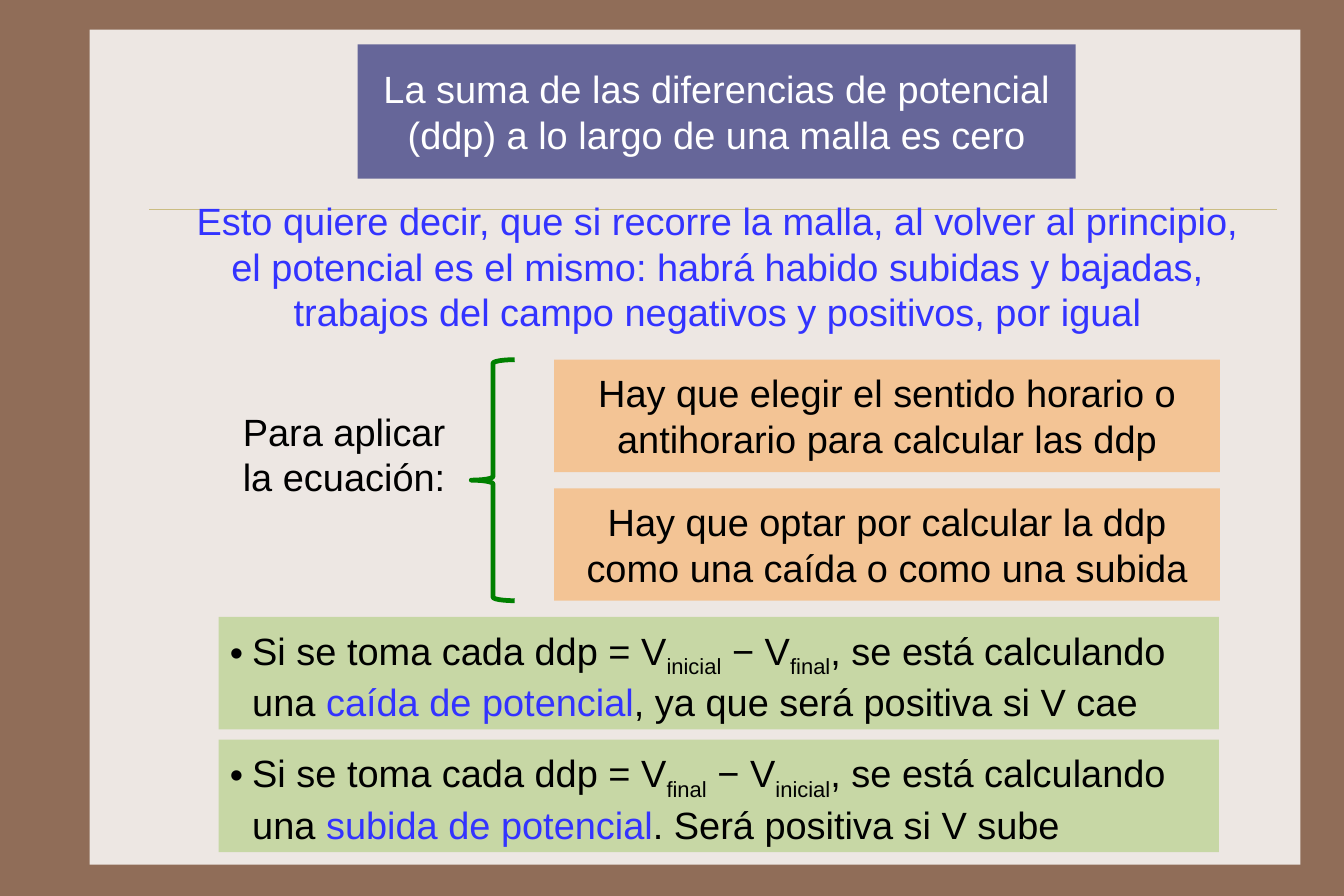
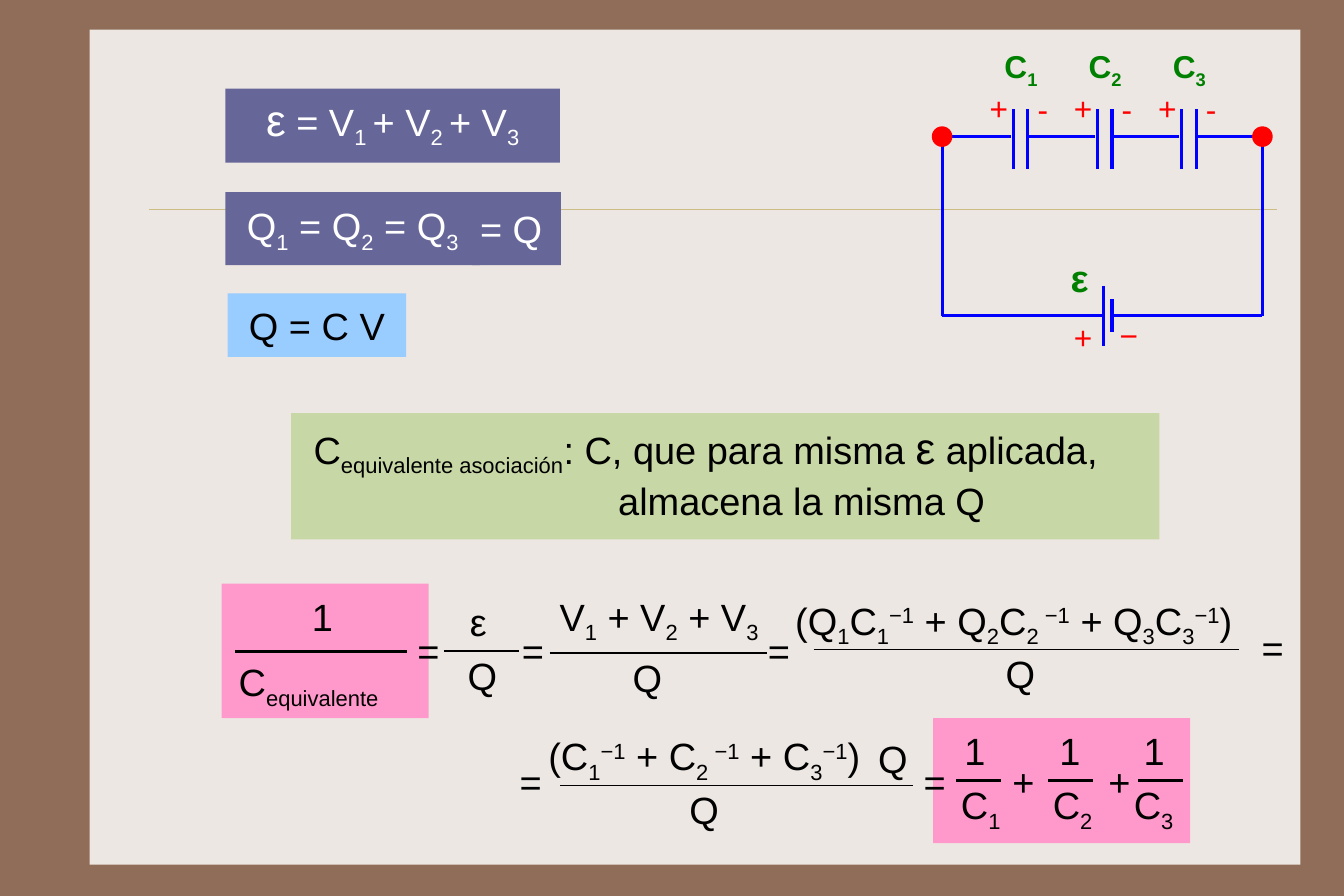
from lxml import etree
from pptx import Presentation
from pptx.dml.color import RGBColor
from pptx.enum import shapes as kinds, text as txt
from pptx.oxml import ns
from pptx.util import Cm, Pt

COLORS = {
    "border": "906D58", "paper": "EDE7E3", "rule": "CBBD83",
    "law": "666699", "step": "F3C495", "note": "C7D7A5",
    "formula": "99CCFF", "result": "FF99CC", "white": "FFFFFF",
    "black": "000000", "accent": "3333FF", "brace": "008000",
    "wire": "0000FF", "red": "FF0000", "green": "008000",
}
FONT = "Arial"
INSETS = (0.25, 0.23, 0.25, 0.23)
SUB, SUPER = "-25000", "30000"
LEFT, CENTER = txt.PP_ALIGN.LEFT, txt.PP_ALIGN.CENTER
TOP, MIDDLE = txt.MSO_ANCHOR.TOP, txt.MSO_ANCHOR.MIDDLE


def rgb(name):
    return RGBColor.from_string(COLORS[name])


def apply(target, values):
    for attribute, value in values.items():
        setattr(target, attribute, value)


def write(paragraph, marked, size=24, color="black", bold=False):
    """Split at "|"; a piece opens with _ (sub), ^ (super), * (accent) or @ (large)."""
    for piece in marked.split("|"):
        mark = piece[0] if piece[0] in "_^*@" else ""
        run = paragraph.add_run()
        run.text = piece[len(mark):]
        apply(run.font, {"name": FONT, "bold": bold,
                         "size": Pt(28 if mark == "@" else size)})
        run.font.color.rgb = rgb("accent" if mark == "*" else color)
        if mark in ("_", "^"):
            run.font._element.set("baseline", SUB if mark == "_" else SUPER)


def fill_text(shape, paragraphs, align=CENTER, anchor=TOP, insets=INSETS,
              wrap=True, **font):
    frame = shape.text_frame
    sides = ("margin_left", "margin_top", "margin_right", "margin_bottom")
    apply(frame, {"auto_size": txt.MSO_AUTO_SIZE.NONE, "word_wrap": wrap,
                  "vertical_anchor": anchor})
    apply(frame, dict(zip(sides, map(Cm, insets))))
    for index, marked in enumerate(paragraphs):
        paragraph = frame.add_paragraph() if index else frame.paragraphs[0]
        apply(paragraph, {"alignment": align, "space_before": Pt(0)})
        write(paragraph, marked, **font)


def place(shape, area):
    apply(shape, dict(zip(("left", "top", "width", "height"), map(Cm, area))))


def paint(shape, fill):
    shape.fill.solid()
    shape.fill.fore_color.rgb = rgb(fill)
    shape.line.fill.background()


def panel(slide, area, fill, *paragraphs, kind=kinds.MSO_SHAPE.RECTANGLE, **options):
    shape = slide.shapes.add_shape(kind, *map(Cm, area))
    shape.shadow.inherit = False
    paint(shape, fill)
    if paragraphs:
        fill_text(shape, paragraphs, **options)
    return shape


def label(slide, x, y, marked, width=1, height=1.3, **options):
    box = slide.shapes.add_textbox(*map(Cm, (x, y, width, height)))
    fill_text(box, [marked], **{"align": LEFT, "wrap": False, **options})


def line(slide, x1, y1, x2, y2, color="black", weight=1):
    connector = slide.shapes.add_connector(
        kinds.MSO_CONNECTOR.STRAIGHT, *map(Cm, (x1, y1, x2, y2)))
    connector.line.color.rgb = rgb(color)
    connector.line.width = Pt(weight)
    etree.SubElement(connector.element.spPr, ns.qn("a:effectLst"))
    return connector


def fraction(slide, bar, top, bottom, rise=1.4, drop=0.2, weight=1):
    """bar is (left, right, y); top and bottom are (x, text, width)."""
    left, right, y = bar
    line(slide, left, y, right, y, weight=weight)
    for (x, marked, width), shift in ((top, rise), (bottom, drop)):
        label(slide, x, y - shift, marked, width)


def build_master(prs, slide):
    """Draw the shared frame on a slide, then move it to the master."""
    master = prs.slide_master
    master.background.fill.solid()
    master.background.fill.fore_color.rgb = rgb("border")
    frame = (panel(slide, (2, 0.66, 27.03, 18.64), "paper"),
             line(slide, 3.33, 4.67, 28.5, 4.67, "rule", 0.25))
    for index, part in enumerate(frame):
        part.element.xpath(".//p:cNvPr")[0].set("id", str(100 + index))
        master.shapes.element.insert(2 + index, part.element)


def bullet_panel(placeholder, area, marked):
    place(placeholder, area)
    paint(placeholder, "note")
    properties = placeholder.text_frame.paragraphs[0]._p.get_or_add_pPr()
    for name, value in (("marL", Cm(0.5)), ("indent", -Cm(0.5))):
        properties.set(name, str(value))
    etree.SubElement(properties, ns.qn("a:buFont")).set("typeface", FONT)
    etree.SubElement(properties, ns.qn("a:buChar")).set("char", "•")
    fill_text(placeholder, [marked], align=LEFT)


def build_loop_rule(slide):
    title, drop, gain = slide.placeholders
    place(title, (7.98, 0.99, 16.03, 3))
    paint(title, "law")
    fill_text(title, ["La suma de las diferencias de potencial (ddp) "
                      "a lo largo de una malla es cero"],
              anchor=MIDDLE, insets=(0.36, 0.33, 0.36, 0.33), color="white")
    bullets = (
        (drop, "Si se toma cada ddp = V|_inicial| − V|_final|, se está calculando una "
               "|*caída de potencial|, ya que será positiva si V cae"),
        (gain, "Si se toma cada ddp = V|_final| − V|_inicial|, se está calculando una "
               "|*subida de potencial|. Será positiva si V sube"))
    for index, (placeholder, marked) in enumerate(bullets):
        bullet_panel(placeholder, (4.88, 13.77 + 2.74 * index, 22.33, 2.51), marked)

    label(slide, 3.91, 4.19,
          "Esto quiere decir, que si recorre la malla, al volver al principio, "
          "el potencial es el mismo: habrá habido subidas y bajadas, "
          "trabajos del campo negativos y positivos, por igual",
          24.21, 3.53, align=CENTER, wrap=True, color="accent")
    label(slide, 5.08, 8.89, "Para aplicar la ecuación:", 5.2, 2.51,
          align=CENTER, wrap=True)
    steps = ("Hay que elegir el sentido horario o antihorario para calcular las ddp",
             "Hay que optar por calcular la ddp como una caída o como una subida")
    for index, step in enumerate(steps):
        panel(slide, (12.37, 8.03 + 2.87 * index, 14.86, 2.51), "step", step)
    brace = slide.shapes.add_shape(kinds.MSO_SHAPE.LEFT_BRACE,
                                   *map(Cm, (10.52, 8.03, 0.97, 5.38)))
    brace.shadow.inherit = False
    brace.fill.background()
    brace.line.color.rgb = rgb("brace")
    brace.line.width = Pt(3)


def draw_circuit(slide):
    left, right, top, bottom = 21.03, 28.18, 3.05, 7.05
    plate_gap, pitch = 0.32, 1.88
    wire_start = left
    for index in range(3):
        plate = 22.62 + pitch * index
        line(slide, wire_start, top, plate - 0.06, top, "wire", 2)
        wire_start = plate + plate_gap
        for x in (plate, wire_start):
            line(slide, x, 2.44, x, 3.78, "wire", 2)
        label(slide, plate - 0.45, 0.81, f"C|_{index + 1}", size=20,
              color="green", bold=True)
        label(slide, plate - 0.78, 1.75, "+", size=20, color="red")
        label(slide, plate + 0.29, 1.77, "-", size=20, color="red")
    battery = 24.64
    short_plate = battery + 0.18
    for wire in ((wire_start, top, right, top),
                 (left, top, left, bottom), (right, top, right, bottom),
                 (left, bottom, battery, bottom), (short_plate, bottom, right, bottom),
                 (battery, 6.38, battery, 7.72), (short_plate, 6.68, short_plate, 7.42)):
        line(slide, *wire, "wire", 2)
    label(slide, 23.65, 5.45, "ε", color="green", bold=True)
    label(slide, 23.72, 6.86, "+", size=20, color="red")
    label(slide, 24.74, 6.83, "−", size=20, color="red")
    diameter = 0.46
    for x in (left, right):
        panel(slide, (x - diameter / 2, top - diameter / 2, diameter, diameter), "red",
              kind=kinds.MSO_SHAPE.OVAL)


def write_derivation(slide):
    panel(slide, (4.95, 13.03, 4.62, 3), "result")
    panel(slide, (20.83, 16.03, 5.74, 2.79), "result")
    fraction(slide, (5.24, 9.09, 14.55), (6.71, "1", 1),
             (5.08, "C|_equivalente", 4.2), rise=1.52, drop=0.07, weight=2)
    fraction(slide, (9.91, 11.58, 14.53), (10.24, "ε", 1), (10.19, "Q", 1))
    fraction(slide, (12.27, 17.12, 14.58), (12.24, "V|_1| + V|_2| + V|_3", 5),
             (13.87, "Q", 1), rise=1.57)
    fraction(slide, (18.16, 27.66, 14.5),
             (17.5, "(Q|_1|C|_1|^−1| + Q|_2|C|_2 |^−1| + Q|_3|C|_3|^−1|)", 10.3),
             (22.2, "Q", 1))
    fraction(slide, (12.5, 20.37, 17.53),
             (11.99, "(C|_1|^−1| + C|_2 |^−1| + C|_3|^−1|)", 7.5), (15.14, "Q", 1))
    label(slide, 19.35, 16.18, "Q")
    for x, y in ((9.07, 13.79), (11.4, 13.79), (16.89, 13.79), (27.91, 13.72),
                 (11.35, 16.71), (20.37, 16.71)):
        label(slide, x, y, "=")

    terms = ((21.34, 21.28, 21.2), (23.39, 23.4, 23.25), (25.4, 25.28, 25.06))
    for index, (bar, one, capacity) in enumerate(terms, 1):
        fraction(slide, (bar, bar + 1, 17.42), (one, "1", 1),
                 (capacity, f"C|_{index}", 1.3), weight=2)
    for x in (22.35, 24.49):
        label(slide, x, 16.71, "+")


def build_series(slide):
    panel(slide, (5.03, 1.98, 7.47, 1.65), "law", "@ε| = V|_1 |+ V|_2 |+ V|_3",
          anchor=MIDDLE, insets=(0.3, 0.2, 0.3, 0.4), color="white")
    panel(slide, (5.03, 4.29, 5.69, 1.63), "law", "Q|_1| = Q|_2| = Q|_3",
          anchor=MIDDLE, insets=(0.3, 0.3, 0.3, 0.3), color="white")
    panel(slide, (10.54, 4.29, 1.98, 1.63), "law", "= Q",
          anchor=MIDDLE, insets=(0.1, 0.23, 0.34, 0.23), color="white")
    panel(slide, (5.08, 6.55, 3.99, 1.42), "formula", "Q = C V", anchor=MIDDLE)
    definition = panel(slide, (6.5, 9.22, 19.38, 2.82), "note",
                       "C|_equivalente asociación|: C, que para misma |@ε| aplicada,",
                       "almacena la misma Q",
                       align=LEFT, anchor=MIDDLE, insets=(0.5, 0.2, 0.5, 0.4))
    second = definition.text_frame.paragraphs[1]
    second._p.get_or_add_pPr().set("marL", str(Cm(6.8)))
    write_derivation(slide)
    draw_circuit(slide)


def main():
    prs = Presentation()
    apply(prs, {"slide_width": Cm(30), "slide_height": Cm(20)})
    loop_rule = prs.slides.add_slide(prs.slide_layouts.get_by_name("Two Content"))
    series = prs.slides.add_slide(prs.slide_layouts.get_by_name("Blank"))
    build_master(prs, loop_rule)
    build_loop_rule(loop_rule)
    build_series(series)
    prs.save("out.pptx")


if __name__ == "__main__":
    main()
